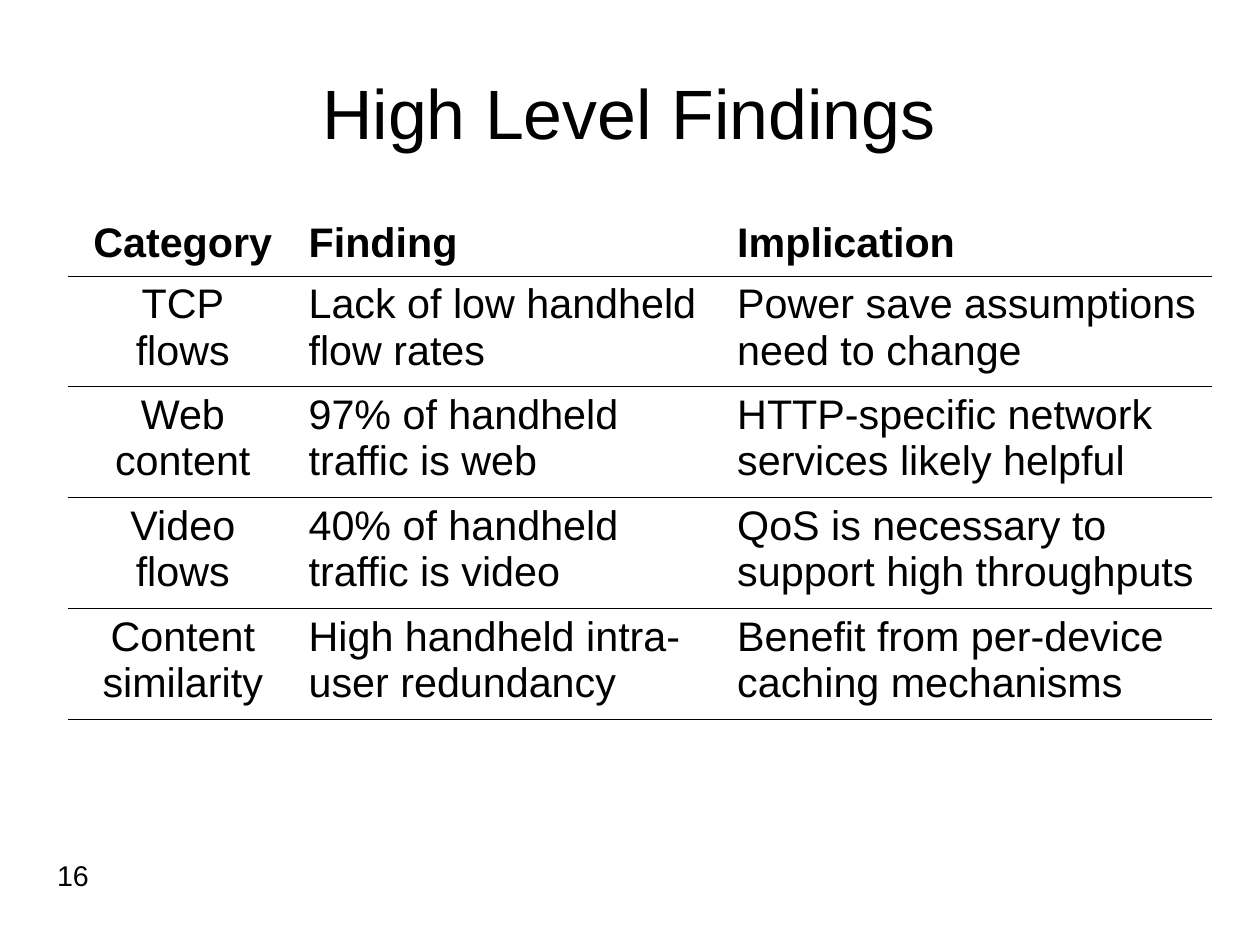
import pptx
import pptx.dml.color
import pptx.enum.text
import pptx.oxml
import pptx.oxml.ns
import pptx.util

Inches = pptx.util.Inches
ALIGN = pptx.enum.text.PP_ALIGN
ANCHOR = pptx.enum.text.MSO_ANCHOR
BLACK = pptx.dml.color.RGBColor(0, 0, 0)
WHITE = pptx.dml.color.RGBColor(255, 255, 255)

COLUMN_WIDTHS = [2, 3.75, 4.25]
ROW_HEIGHTS = [0.53] + [0.97] * 4
BORDER_WIDTH = pptx.util.Pt(0.45)

FINDINGS = [
    ["Category", "Finding", "Implication"],
    ["TCP\nflows", "Lack of low handheld flow rates",
     "Power save assumptions need to change"],
    ["Web content", "97% of handheld traffic is web",
     "HTTP-specific network services likely helpful"],
    ["Video flows", "40% of handheld traffic is video",
     "QoS is necessary to support high throughputs"],
    ["Content similarity", "High handheld intra-user redundancy",
     "Benefit from per-device caching mechanisms"],
]


def write(paragraph, text, size, alignment, bold=False):
    paragraph.text = text
    paragraph.alignment = alignment
    font_format = {"name": "Arial", "size": pptx.util.Pt(size), "bold": bold}
    for run in paragraph.runs:
        for name, value in font_format.items():
            setattr(run.font, name, value)
        run.font.color.rgb = BLACK


def add_border(cell, side, color):
    namespace = pptx.oxml.ns.nsdecls("a")
    line = pptx.oxml.parse_xml(
        f'<a:ln{side} {namespace} w="{BORDER_WIDTH}"><a:solidFill>'
        f'<a:srgbClr val="{color}"/></a:solidFill></a:ln{side}>')
    cell._tc.get_or_add_tcPr().append(line)


presentation = pptx.Presentation()
presentation.slide_width = pptx.util.Cm(28)
presentation.slide_height = pptx.util.Cm(21)
slide = presentation.slides.add_slide(presentation.slide_layouts[6])

# Slide number and title
text_boxes = [
    ("16", 18, ALIGN.LEFT, ANCHOR.TOP, (0.5, 7.53, 9.97, 0.56)),
    ("High Level Findings", 44, ALIGN.CENTER, ANCHOR.MIDDLE,
     (0.55, 0.33, 9.91, 1.37)),
]
for text, size, alignment, anchor, place in text_boxes:
    text_frame = slide.shapes.add_textbox(*map(Inches, place)).text_frame
    frame_format = {"word_wrap": True, "vertical_anchor": anchor,
                    "margin_left": 0, "margin_top": 0,
                    "margin_right": 0, "margin_bottom": 0}
    for name, value in frame_format.items():
        setattr(text_frame, name, value)
    paragraph = text_frame.paragraphs[0]
    write(paragraph, text, size, alignment)
    paragraph.line_spacing = 0.93

# Findings table
table = slide.shapes.add_table(
    len(ROW_HEIGHTS), len(COLUMN_WIDTHS), Inches(0.6), Inches(1.88),
    Inches(sum(COLUMN_WIDTHS)), Inches(sum(ROW_HEIGHTS))).table
table.first_row = False
table.horz_banding = False
for column, width in zip(table.columns, COLUMN_WIDTHS):
    column.width = Inches(width)
for row, height in zip(table.rows, ROW_HEIGHTS):
    row.height = Inches(height)

# Cells: black rules below every row, none above the header
for row_index, texts in enumerate(FINDINGS):
    is_header = row_index == 0
    borders = {"L": WHITE, "R": WHITE,
               "T": WHITE if is_header else BLACK, "B": BLACK}
    for column_index, text in enumerate(texts):
        cell = table.cell(row_index, column_index)
        for side, color in borders.items():
            add_border(cell, side, color)
        cell.fill.solid()
        cell.fill.fore_color.rgb = WHITE
        alignment = ALIGN.LEFT if column_index else ALIGN.CENTER
        write(cell.text_frame.paragraphs[0], text, 26, alignment, is_header)

presentation.save("out.pptx")
